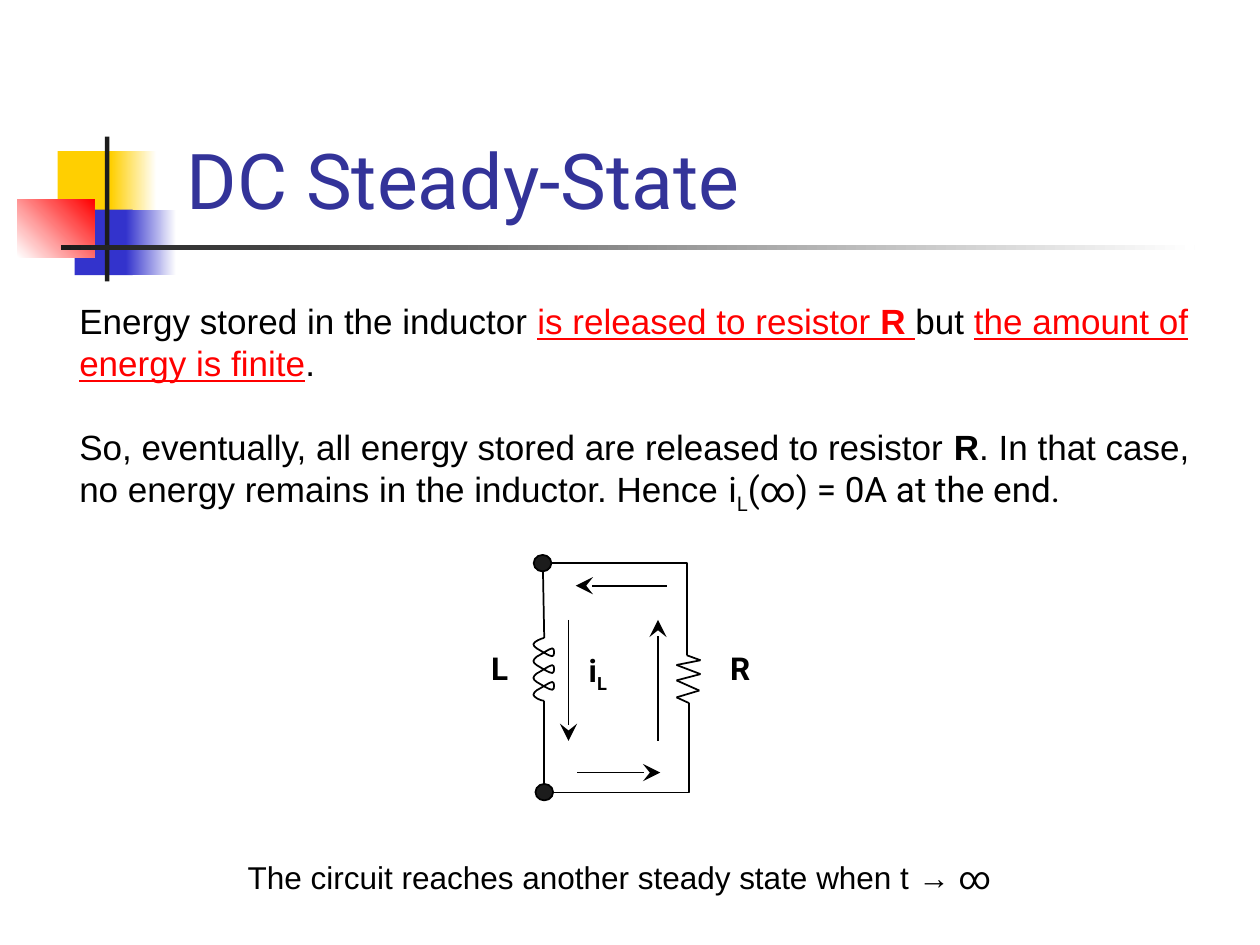
from itertools import pairwise

from lxml import etree
from pptx import Presentation
from pptx.dml.color import RGBColor
from pptx.enum import shapes as kinds, text as txt
from pptx.oxml.ns import qn
from pptx.util import Pt

BLACK = RGBColor(0x00, 0x00, 0x00)
WHITE = RGBColor(0xFF, 0xFF, 0xFF)
INK = RGBColor(0x1C, 0x1C, 0x1C)
YELLOW = RGBColor(0xFF, 0xCF, 0x01)
BLUE = RGBColor(0x33, 0x33, 0xCC)
RED = RGBColor(0xFF, 0x00, 0x00)
TITLE_BLUE = RGBColor(0x33, 0x33, 0x99)


def write(paragraph, size, runs):
    """Add runs of (text, format values); "base" is the baseline shift."""
    for words, look in runs:
        run = paragraph.add_run()
        run.text = words
        values = {"name": "Arial", "size": Pt(size), "bold": False} | look
        run.font.color.rgb = values.pop("color", BLACK)
        base = values.pop("base", None)
        for key, value in values.items():
            setattr(run.font, key, value)
        if base:
            run._r.get_or_add_rPr().set("baseline", base)


def wire(start, end, kind=kinds.MSO_CONNECTOR.STRAIGHT):
    line = slide.shapes.add_connector(kind, *map(Pt, start + end))
    line.line.color.rgb = BLACK
    line.line.width = Pt(1)
    etree.SubElement(line._element.spPr, qn("a:effectLst"))
    return line


prs = Presentation()
prs.slide_width, prs.slide_height = Pt(720), Pt(540)
slide = prs.slides.add_slide(prs.slide_layouts[5])

# Corner decoration: box, first colour, last colour, angle
ornaments = [
    ((33, 86.4, 34.6, 37.4), YELLOW, None, 0),
    ((63.4, 86.4, 26, 37.4), YELLOW, WHITE, 0),
    ((42.7, 119.8, 33.1, 37.4), BLUE, None, 0),
    ((72, 119.8, 28.8, 37.4), BLUE, WHITE, 0),
    ((10, 113.8, 44, 33.1), WHITE, RED, 45),
    ((60, 78, 2.5, 82.8), INK, None, 0),
    ((34.7, 140.2, 648, 2.4), INK, WHITE, 0),
]
for box, first, last, angle in ornaments:
    ornament = slide.shapes.add_shape(kinds.MSO_SHAPE.RECTANGLE, *map(Pt, box))
    ornament.shadow.inherit = False
    ornament.line.fill.background()
    if last is None:
        ornament.fill.solid()
        ornament.fill.fore_color.rgb = first
    else:
        ornament.fill.gradient()
        ornament.fill.gradient_angle = angle
        for stop, color in zip(ornament.fill.gradient_stops, (first, last)):
            stop.color.rgb = color

title = slide.shapes.title
title.left, title.top, title.width, title.height = map(Pt, (99.4, 60.2, 660, 72))
title.text_frame.vertical_anchor = txt.MSO_ANCHOR.BOTTOM
heading = title.text_frame.paragraphs[0]
heading.alignment = txt.PP_ALIGN.LEFT
write(heading, 44, [("DC Steady-State", {"name": "Roboto", "color": TITLE_BLUE})])

# Explanation
roboto = {"name": "Roboto"}
key_point = {"color": RED, "underline": True}
explanation = slide.shapes.add_textbox(*map(Pt, (38.2, 167.8, 658, 128))).text_frame
explanation.word_wrap = True
release = explanation.paragraphs[0]
conclusion = explanation.add_paragraph()
conclusion.space_before = Pt(24)
write(release, 20, [
    ("Energy stored in the inductor ", {}),
    ("is released to resistor ", key_point),
    ("R", key_point | {"bold": True}),
    (" ", key_point),
    ("but ", {}),
    ("the amount of energy is finite", key_point),
    (".", {}),
])
write(conclusion, 20, [
    ("So, eventually, all energy stored are released to resistor ", {}),
    ("R", {"bold": True}),
    (". In that case, no energy remains in the inductor. Hence ", {}),
    ("i", roboto),
    ("L", roboto | {"base": "-25000"}),
    ("(∞) = 0A at the end.", roboto),
])

# Closing line and circuit labels
label = {"name": "Roboto", "bold": True}
captions = [
    ((133.2, 486.7, 441.4, 28.8), [
        ("The circuit reaches another steady state when t ", {}),
        ("→ ", {"bold": True}),
        ("∞", roboto),
    ]),
    ((266.4, 367.2, 38.2, 28.8), [("L", label)]),
    ((328.3, 368.6, 26.6, 28.8), [("i", label), ("L", label | {"base": "-25000"})]),
    ((409, 367.2, 28, 28.8), [("R", label)]),
]
for box, runs in captions:
    caption = slide.shapes.add_textbox(*map(Pt, box)).text_frame
    caption.word_wrap = False
    caption.paragraphs[0].alignment = txt.PP_ALIGN.CENTER
    write(caption.paragraphs[0], 18, runs)

# Nodes and wires
for left, top in [(305, 317.1), (306, 448)]:
    node = slide.shapes.add_shape(kinds.MSO_SHAPE.OVAL, *map(Pt, (left, top, 10.1, 9.4)))
    node.shadow.inherit = False
    node.fill.solid()
    node.fill.fore_color.rgb = INK
    node.line.color.rgb = BLACK
    node.line.width = Pt(1)

resistor = [(392.4, 374.4), (400.3, 377.3), (386.6, 380), (400.3, 385.2),
            (386.6, 388.8), (399.6, 394.6), (386.6, 398.5), (393.8, 401.8)]
coil_start, coil_end = (311, 364.5), (311, 400.5)
wire((310.3, 326.9), coil_start)
wire((311, 447.8), coil_end)
for start, end in pairwise(resistor):
    wire(start, end)
for start, end in [((315.4, 321.8), resistor[0]), ((316.1, 452.9), resistor[-1])]:
    corner = wire(start, end, kinds.MSO_CONNECTOR.ELBOW)
    corner._element.spPr.find(qn("a:prstGeom")).set("prst", "bentConnector2")

# Coil: cubic curves, each with two control points and an end point
coil_left, coil_top, pitch = 304.8, 368.2, 9.6
turn = [
    [(0, 0.8), (0.8, 1.6), (2, 2.4)],
    [(4.5, 3.8), (9.4, 7), (10.8, 6.8)],
    [(12.2, 6.8), (12.2, 2.3), (10.8, 2.3)],
    [(9.4, 2.3), (4.5, 5.8), (2, 7)],
    [(0.8, 8), (0, 8.8), (0, 9.6)],
]
curves = [[(309.5, 364.8), (304.8, 366.7), (coil_left, coil_top)]]
for number in range(3):
    curves += [[(coil_left + x, coil_top + number * pitch + y) for x, y in curve]
               for curve in turn]
curves.append([(304.8, 398.4), (309, 400.5), coil_end])

builder = slide.shapes.build_freeform(*map(Pt, coil_start))
builder.add_line_segments([tuple(map(Pt, curve[-1])) for curve in curves], close=False)
coil = builder.convert_to_shape()
coil.shadow.inherit = False
coil.fill.background()
coil.line.color.rgb = BLACK
coil.line.width = Pt(1)
for segment, curve in zip(list(coil._element.iter(qn("a:lnTo"))), curves):
    bend = etree.Element(qn("a:cubicBezTo"))
    for x, y in curve:
        etree.SubElement(bend, qn("a:pt"), x=str(Pt(x) - coil.left), y=str(Pt(y) - coil.top))
    segment.getparent().replace(segment, bend)

# Current direction around the loop
for start, end in [
    ((324.9, 354.2), (324.9, 423.4)),
    ((376, 423.4), (376, 354.2)),
    ((329.8, 441.5), (377.3, 441.5)),
    ((380.9, 334.7), (329, 334.7)),
]:
    current = wire(start, end)
    etree.SubElement(current.line._get_or_add_ln(), qn("a:tailEnd"),
                     type="stealth", w="lg", len="lg")

prs.save("out.pptx")
